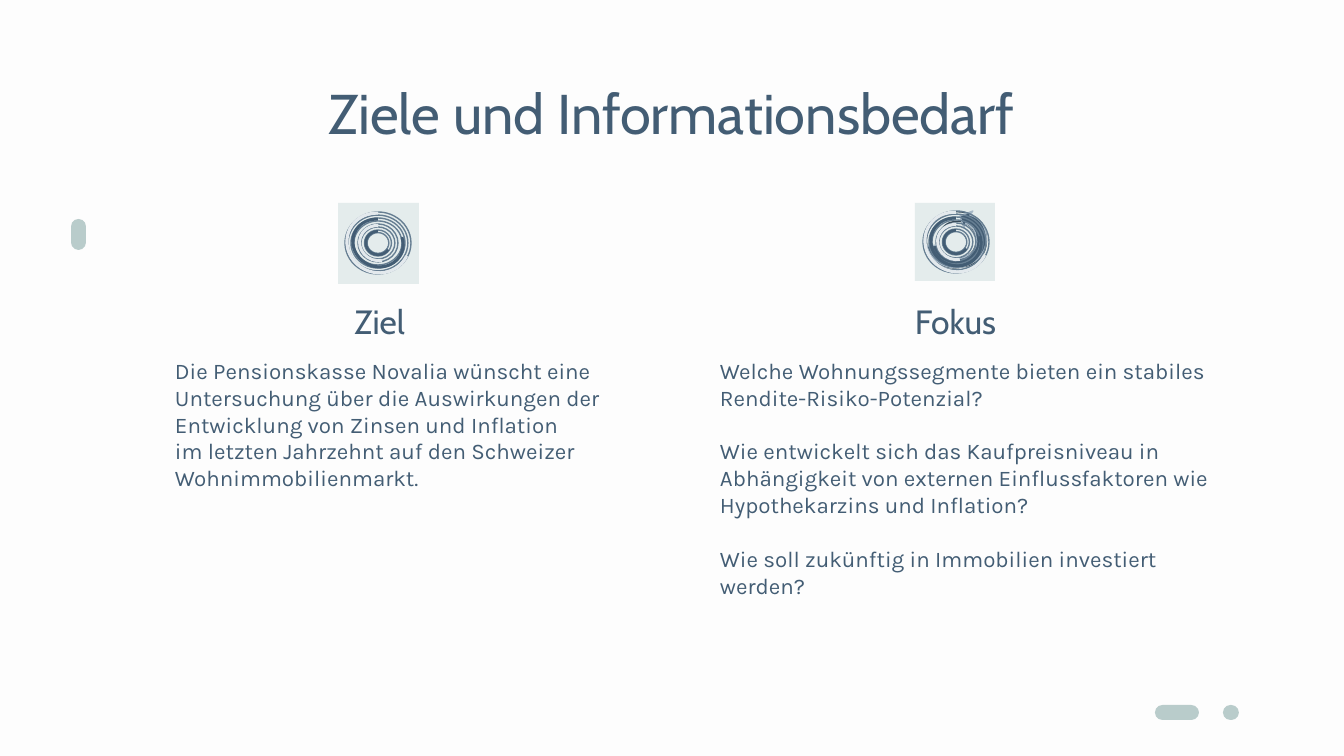
from lxml import etree
from pptx import Presentation
from pptx.dml.color import RGBColor
from pptx.enum.shapes import MSO_SHAPE
from pptx.enum.text import MSO_ANCHOR, PP_ALIGN
from pptx.oxml.ns import qn
from pptx.util import Emu, Pt

PILL, SQUARE = MSO_SHAPE.ROUNDED_RECTANGLE, MSO_SHAPE.RECTANGLE
DONUT, ARC = MSO_SHAPE.DONUT, MSO_SHAPE.BLOCK_ARC
TOP, BOTTOM = MSO_ANCHOR.TOP, MSO_ANCHOR.BOTTOM
LEFT, CENTER = PP_ALIGN.LEFT, PP_ALIGN.CENTER

SCALE = 914400 / 134.4
NAVY, SAGE, MIST, PAPER = "435D74", "B9CCCB", "E4ECEC", "FDFDFD"
RING_LINE, PALE_ARC = "667E92", "E3E9ED"
ARROW_LINE, LOOP_LINE = "A5B7C6", "374957"
HEADING_FONT, BODY_FONT = "Cabin", "Karla"

# Donut width, height, band; arc start, end (adjustment units) and rotation; arc fill
RINGS = [
    (66, 62, 0.05, 52.66, 199.96, 296.5, PALE_ARC),
    (54, 50, 0.06, 30.86, 201.01, 294.9, NAVY),
    (40, 38, 0.08, 88.84, 204.15, 289.6, PALE_ARC),
    (27, 26, 0.10, 64.90, 207.01, 284.4, NAVY),
]

# Contours: a start point, then line ends (2 numbers) or cubic curves (6 numbers)
LOOP_INNER = [
    (976, 237), (978, 246, 972, 257, 961, 258), (949, 261, 939, 254, 937, 245),
    (937, 239, 937, 234, 941, 230), (950, 216, 973, 219, 976, 237),
]
LOOP_OUTER = [
    (986, 234), (985, 227, 981, 220, 973, 216), (952, 203, 922, 222, 927, 246),
    (930, 262, 946, 271, 962, 267), (981, 265, 989, 249, 986, 234),
]
ROUND_ARROW = [
    (986, 234), (985, 226, 980, 218, 970, 215), (973, 211), (960, 216),
    (964, 228), (966, 223), (972, 226, 976, 231, 976, 237),
    (978, 243, 976, 250, 969, 255), (957, 263, 941, 258, 938, 245), (927, 246),
    (931, 262, 946, 270, 962, 267), (979, 263, 989, 249, 986, 234),
]

GOAL = [
    "Die Pensionskasse Novalia wünscht eine Untersuchung über die Auswirkungen "
    "der Entwicklung von Zinsen und Inflation",
    "im letzten Jahrzehnt auf den Schweizer Wohnimmobilienmarkt.",
]
QUESTIONS = [
    "Welche Wohnungssegmente bieten ein stabiles Rendite-Risiko-Potenzial?",
    "Wie entwickelt sich das Kaufpreisniveau in Abhängigkeit von externen "
    "Einflussfaktoren wie Hypothekarzins und Inflation?",
    "Wie soll zukünftig in Immobilien investiert werden?",
]


def px(length):
    return Emu(round(length * SCALE))


def color(hex_string):
    return RGBColor.from_string(hex_string)


def segment_points(segment):
    return list(zip(segment[::2], segment[1::2]))


def bend(shape, contours):
    """Turn the three lines along each curve's control points into one cubic curve."""
    lines = iter(list(shape.element.iter(qn("a:lnTo"))))
    for contour in contours:
        for segment in contour[1:]:
            steps = [next(lines) for _ in segment_points(segment)]
            if len(steps) == 3:
                curve = etree.Element(qn("a:cubicBezTo"))
                steps[0].addprevious(curve)
                for step in steps:
                    curve.append(step[0])
                    step.getparent().remove(step)


class Deck:
    def __init__(self):
        self.presentation = Presentation()
        self.presentation.slide_width = px(1344)
        self.presentation.slide_height = px(756)
        blank = self.presentation.slide_layouts[6]
        self.slide = self.presentation.slides.add_slide(blank)
        background = self.slide.background.fill
        background.solid()
        background.fore_color.rgb = color(PAPER)

    def paint(self, shape, fill, line):
        shape.shadow.inherit = False
        if fill:
            shape.fill.solid()
            shape.fill.fore_color.rgb = color(fill)
        else:
            shape.fill.background()
        if line:
            shape.line.color.rgb = color(line)
            shape.line.width = Pt(0.75)
        else:
            shape.line.fill.background()

    def shape(self, kind, box, fill=None, line=None, adjustments=(), rotation=0):
        shape = self.slide.shapes.add_shape(kind, *map(px, box))
        for index, value in enumerate(adjustments):
            shape.adjustments[index] = value
        shape.rotation = rotation
        self.paint(shape, fill, line)

    def outline(self, contours, fill=None, line=None):
        builder = self.slide.shapes.build_freeform(*contours[0][0], scale=SCALE)
        for index, (start, *segments) in enumerate(contours):
            if index:
                builder.move_to(*start)
            points = [point for segment in segments for point in segment_points(segment)]
            # The last segment already returns to the start.
            builder.add_line_segments(points, close=False)
        shape = builder.convert_to_shape()
        bend(shape, contours)
        self.paint(shape, fill, line)

    def text(self, box, paragraphs, size, font, align=CENTER, anchor=TOP, gap=0):
        frame = self.slide.shapes.add_textbox(*map(px, box)).text_frame
        frame.word_wrap = True
        frame.vertical_anchor = anchor
        frame.margin_left = frame.margin_right = px(13)
        frame.margin_top = frame.margin_bottom = px(13)
        frame.text = "\n".join(paragraphs)
        for index, paragraph in enumerate(frame.paragraphs):
            paragraph.alignment = align
            if index and gap:
                paragraph.space_before = Pt(gap)
            for run in paragraph.runs:
                run.font.size = Pt(size)
                run.font.name = font
                run.font.color.rgb = color(NAVY)

    def rings(self, center_x, center_y):
        """Draw the concentric donuts, then the arcs that lie over them."""
        for width, height, band, *_ in RINGS:
            box = (center_x - width / 2, center_y - height / 2, width, height)
            self.shape(DONUT, box, line=RING_LINE, adjustments=[band])
        for width, height, band, start, end, rotation, fill in RINGS:
            box = (center_x - height / 2, center_y - width / 2, height, width)
            self.shape(ARC, box, fill, adjustments=[start, end, band],
                       rotation=rotation)


def main():
    deck = Deck()
    for pill in [(71, 219, 15, 31), (1155, 705, 44, 15), (1223, 705, 16, 15)]:
        deck.shape(PILL, pill, SAGE, adjustments=[0.5])

    deck.text((105, 66, 1133, 85), ["Ziele und Informationsbedarf"], 30, HEADING_FONT)

    deck.shape(SQUARE, (338, 203, 81, 81), MIST)
    deck.rings(378, 243)
    deck.shape(SQUARE, (915, 203, 80, 78), MIST)
    deck.outline([LOOP_INNER, LOOP_OUTER], line=LOOP_LINE)
    deck.outline([ROUND_ARROW], NAVY, ARROW_LINE)
    deck.rings(956, 242)

    for left, heading in [(132, "Ziel"), (708, "Fokus")]:
        deck.text((left, 292, 495, 62), [heading], 18, HEADING_FONT, anchor=BOTTOM)
    deck.text((162, 344, 539, 207), GOAL, 12, BODY_FONT, LEFT)
    deck.text((707, 344, 521, 207), QUESTIONS, 12, BODY_FONT, LEFT, gap=14.4)

    deck.presentation.save("out.pptx")


if __name__ == "__main__":
    main()
